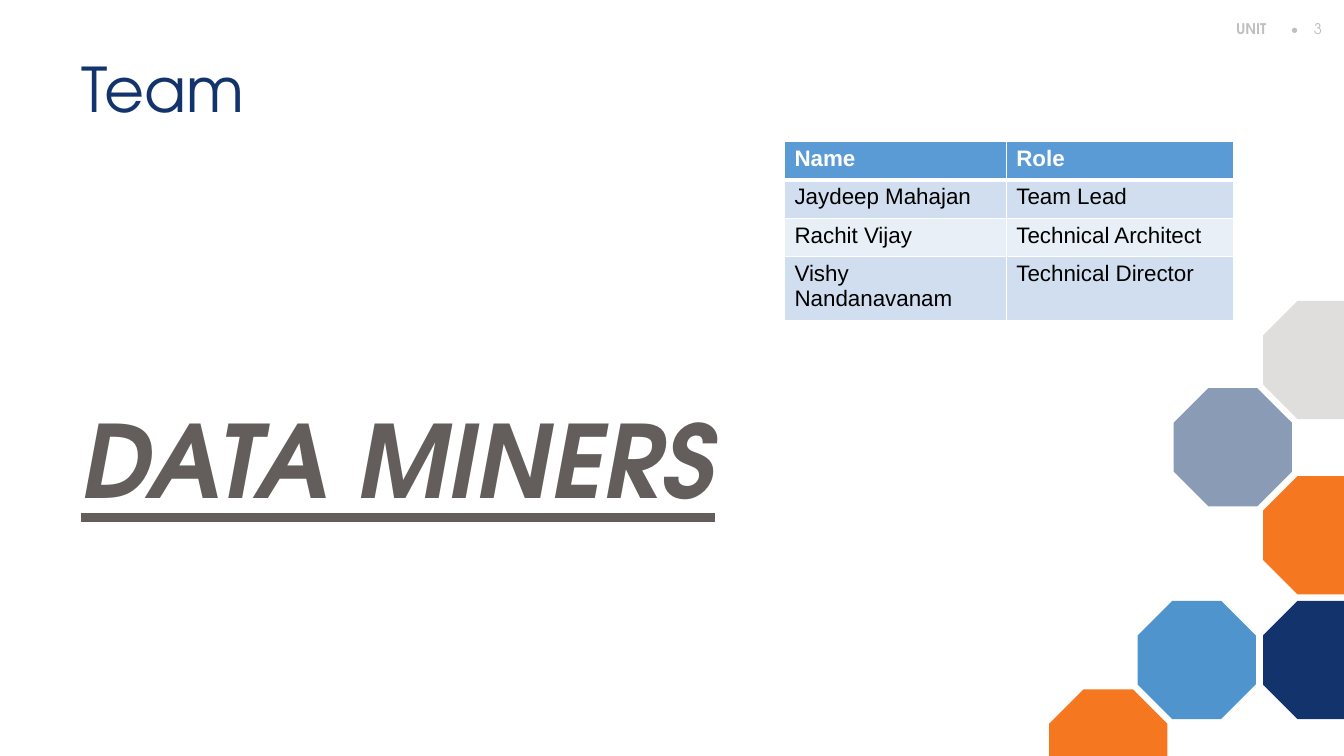
"""Build the team slide with its member table and octagon decoration."""
from lxml import etree
from pptx import Presentation
from pptx.dml.color import RGBColor
from pptx.enum.shapes import MSO_SHAPE
from pptx.enum.text import MSO_ANCHOR
from pptx.oxml.ns import qn
from pptx.util import Cm, Pt

OCTAGON = MSO_SHAPE.OCTAGON
TOP = MSO_ANCHOR.TOP
HEADING_FONT = "TeX Gyre Adventor"
TABLE_FONT = "Arial"
COLORS = {
    "navy": "12336B", "blue": "4F94CC", "orange": "F57821", "light": "DFDEDD",
    "brown": "635E5C", "gray": "BFBFBF", "header": "5B9BD5", "band": "D0DEEF",
    "pale": "E9EFF7", "white": "FFFFFF", "black": "000000",
}


def add_span(para, text, font, size, color, bold=False):
    span = para.add_run()
    span.text = text
    span.font.name = font
    span.font.size = Pt(size)
    span.font.bold = bold
    span.font.color.rgb = RGBColor.from_string(COLORS[color])
    return span


def paint(shape, color):
    shape.shadow.inherit = False
    shape.fill.solid()
    shape.fill.fore_color.rgb = RGBColor.from_string(COLORS[color])
    shape.line.fill.background()


deck = Presentation()
deck.slide_width, deck.slide_height = Cm(33.87), Cm(19.05)
page = deck.slides.add_slide(deck.slide_layouts[5])

SIDE, CUT = 2.98, 0.87
FAR = SIDE - CUT
EDGE_WIDTH, EDGE_HEIGHT = 2.04, 1.68
right_cut = [(EDGE_WIDTH, 0), (EDGE_WIDTH, SIDE), (CUT, SIDE), (0, FAR), (0, CUT), (CUT, 0)]
bottom_cut = [(0, EDGE_HEIGHT), (0, CUT), (CUT, 0), (FAR, 0), (SIDE, CUT), (SIDE, EDGE_HEIGHT)]
decoration = page.shapes.add_group_shape().shapes
for left, top, color in [(28.67, 15.14, "blue"), (29.58, 9.78, "navy")]:
    octagon = decoration.add_shape(OCTAGON, Cm(left), Cm(top), Cm(SIDE), Cm(SIDE))
    octagon.adjustments[0] = 0.293
    paint(octagon, color)
fill_color = octagon.fill._xPr.find(qn("a:solidFill"))[0]
etree.SubElement(fill_color, qn("a:alpha"), val="49000")

for left, top, color, outline in [
    (31.83, 15.14, "navy", right_cut),
    (31.83, 12.0, "orange", right_cut),
    (31.83, 7.58, "light", right_cut),
    (26.44, 17.37, "orange", bottom_cut),
]:
    points = [(Cm(left + x), Cm(top + y)) for x, y in outline]
    builder = decoration.build_freeform(*points[0])
    builder.add_line_segments(points[1:], close=True)
    paint(builder.convert_to_shape(), color)

label = page.shapes.add_textbox(Cm(30.9), Cm(0.38), Cm(2.9), Cm(0.71))
label.text_frame.word_wrap = True
para = label.text_frame.paragraphs[0]
tabs = etree.SubElement(para._p.get_or_add_pPr(), qn("a:tabLst"))
for position in (1.38, 1.96):
    etree.SubElement(tabs, qn("a:tab"), pos=str(Cm(position)), algn="l")
add_span(para, "UNIT", HEADING_FONT, 10.5, "gray", bold=True)
add_span(para, "\t•\t3", HEADING_FONT, 10.5, "gray")

title = page.shapes.title
title.left, title.top, title.width, title.height = Cm(1.8), Cm(1.37), Cm(29.44), Cm(2.41)
title.text_frame.vertical_anchor = TOP
para = title.text_frame.paragraphs[0]
para.line_spacing = 0.9
add_span(para, "Team", HEADING_FONT, 44, "navy")
para._p.get_or_add_pPr().set("algn", "l")

team_name = page.shapes.add_textbox(Cm(1.8), Cm(9.9), Cm(17.5), Cm(3.6))
team_name.text_frame.word_wrap = True
span = add_span(team_name.text_frame.paragraphs[0], "DATA MINERS", HEADING_FONT, 72, "brown", bold=True)
span.font.italic = True
span.font.underline = True

members = [
    ("Name", "Role"),
    ("Jaydeep Mahajan", "Team Lead"),
    ("Rachit Vijay", "Technical Architect"),
    ("Vishy Nandanavanam", "Technical Director"),
]
row_fills = ["header", "band", "pale", "band"]
table = page.shapes.add_table(4, 2, Cm(19.77), Cm(3.56), Cm(11.33), Cm(3.88)).table
table.columns[0].width, table.columns[1].width = Cm(5.59), Cm(5.74)
for row, (member, fill) in enumerate(zip(members, row_fills)):
    table.rows[row].height = Cm(0.97)
    for column, text in enumerate(member):
        cell = table.cell(row, column)
        is_header = row == 0
        add_span(cell.text_frame.paragraphs[0], text, TABLE_FONT, 16,
                 "white" if is_header else "black", bold=is_header)
        properties = cell._tc.get_or_add_tcPr()
        for side in ("lnL", "lnR", "lnT", "lnB"):
            thick = (row, side) in [(0, "lnB"), (1, "lnT")]
            border = etree.SubElement(properties, qn(f"a:{side}"), w=str(Pt(3 if thick else 1)))
            border_fill = etree.SubElement(border, qn("a:solidFill"))
            etree.SubElement(border_fill, qn("a:srgbClr"), val=COLORS["white"])
        cell.fill.solid()
        cell.fill.fore_color.rgb = RGBColor.from_string(COLORS[fill])

deck.save("out.pptx")
